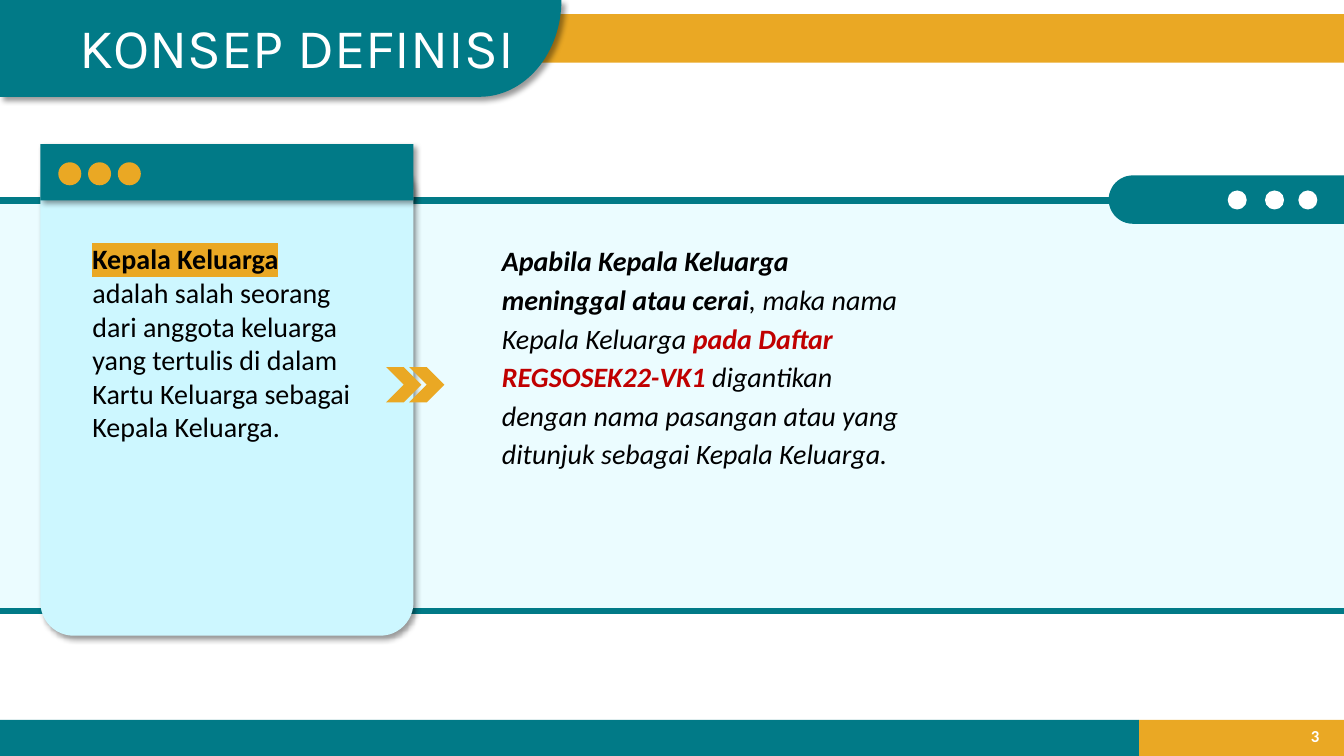
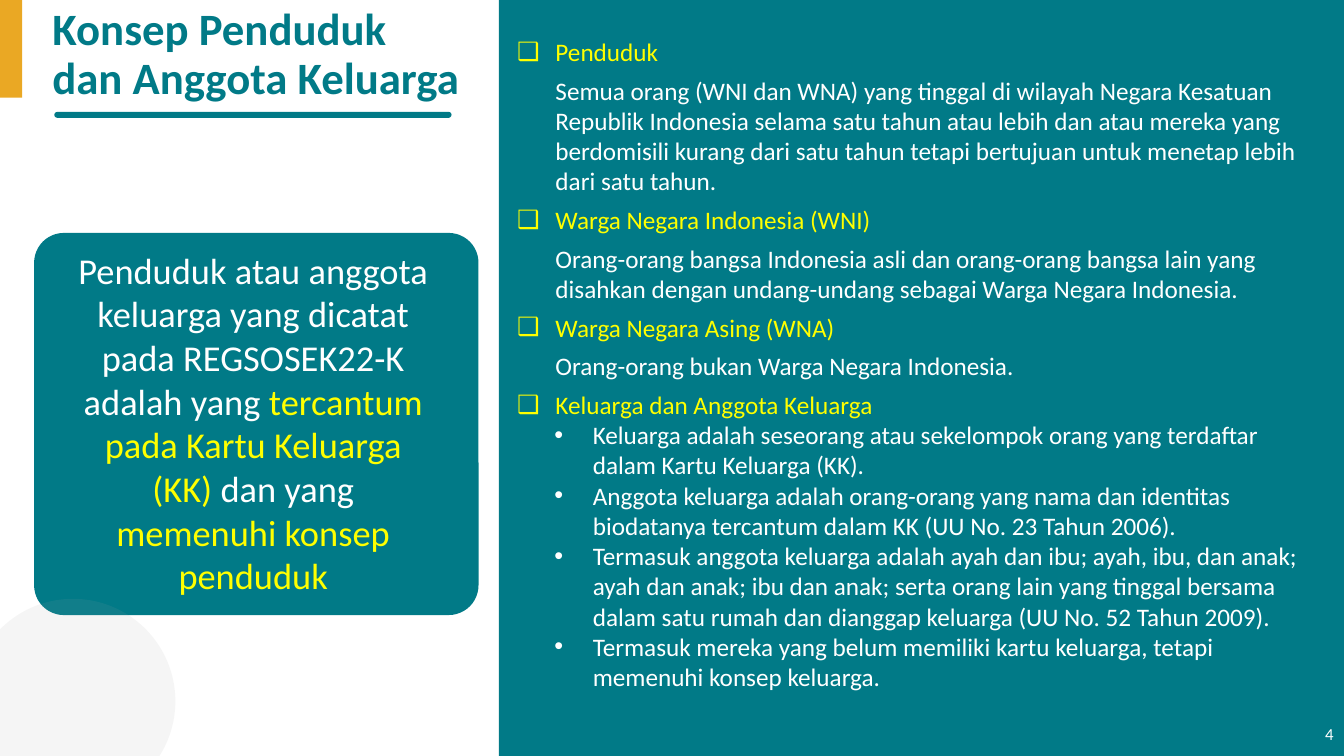
from math import cos, pi, sin

from lxml import etree
from pptx import Presentation
from pptx.dml.color import RGBColor
from pptx.enum.shapes import MSO_CONNECTOR, MSO_SHAPE
from pptx.enum.text import MSO_ANCHOR, PP_ALIGN
from pptx.oxml.ns import qn
from pptx.util import Cm, Pt

WIDTH, HEIGHT = 33.87, 19.05
BODY_FONT = "Calibri"
TITLE_FONT = "Karla"
COLORS = {
    "teal": "017A87",
    "gold": "EAA824",
    "pale": "EBFCFF",
    "card": "CDF7FF",
    "white": "FFFFFF",
    "black": "000000",
    "red": "C00000",
    "yellow": "FFFF00",
    "gray": "A5A5A5",
}

DEFINITIONS = [
    ("Penduduk",
     "Semua orang (WNI dan WNA) yang tinggal di wilayah Negara Kesatuan Republik Indonesia "
     "selama satu tahun atau lebih dan atau mereka yang berdomisili kurang dari satu tahun "
     "tetapi bertujuan untuk menetap lebih dari satu tahun."),
    ("Warga Negara Indonesia (WNI)",
     "Orang-orang bangsa Indonesia asli dan orang-orang bangsa lain yang disahkan dengan "
     "undang-undang sebagai Warga Negara Indonesia."),
    ("Warga Negara Asing (WNA)", "Orang-orang bukan Warga Negara Indonesia."),
]
FAMILY_HEADING = "Keluarga dan Anggota Keluarga"
FAMILY_POINTS = [
    "Keluarga adalah seseorang atau sekelompok orang yang terdaftar dalam Kartu Keluarga (KK).",
    "Anggota keluarga adalah orang-orang yang nama dan identitas biodatanya tercantum dalam KK "
    "(UU No. 23 Tahun 2006).",
    "Termasuk anggota keluarga adalah ayah dan ibu; ayah, ibu, dan anak; ayah dan anak; ibu dan "
    "anak; serta orang lain yang tinggal bersama dalam satu rumah dan dianggap keluarga "
    "(UU No. 52 Tahun 2009).",
    "Termasuk mereka yang belum memiliki kartu keluarga, tetapi memenuhi konsep keluarga.",
]


def rgb(color):
    return RGBColor.from_string(COLORS[color])


def add_color(parent, color, alpha=None):
    node = etree.SubElement(parent, qn("a:srgbClr"), val=COLORS[color])
    if alpha is not None:
        etree.SubElement(node, qn("a:alpha"), val=str(alpha * 1000))


def paint(shape, color, shadow=False):
    """Fill a shape without outline, with an optional soft drop shadow."""
    shape.fill.solid()
    shape.fill.fore_color.rgb = rgb(color)
    shape.line.fill.background()
    shape.shadow.inherit = False
    if shadow:
        effects = shape._element.spPr.find(qn("a:effectLst"))
        outer = etree.SubElement(effects, qn("a:outerShdw"), blurRad=str(Pt(4)), dist=str(Pt(3)),
                                 dir="2700000", algn="tl", rotWithShape="0")
        add_color(outer, "black", 40)


def add_shape(slide, kind, box, color, adjustment=None, shadow=False):
    shape = slide.shapes.add_shape(kind, *map(Cm, box))
    if adjustment is not None:
        shape.adjustments[0] = adjustment
    paint(shape, color, shadow)
    return shape


def add_rule(slide, y, end):
    connector = slide.shapes.add_connector(MSO_CONNECTOR.STRAIGHT, 0, Cm(y), Cm(end), Cm(y))
    connector.line.color.rgb = rgb("teal")
    connector.line.width = Pt(4.5)
    etree.SubElement(connector._element.spPr, qn("a:effectLst"))


def add_row(slide, kind, lefts, top, size, color, adjustment=None):
    for left in lefts:
        add_shape(slide, kind, (left, top, size, size), color, adjustment)


def add_title_tab(slide):
    """Draw the title tab, whose lower right corner is a quarter ellipse."""
    center, radius_x, radius_y, steps = 12.09, 2.06, 2.44, 32
    angles = [pi / 2 * step / steps for step in range(steps + 1)]
    arc = [(Cm(center + radius_x * cos(angle)), Cm(radius_y * sin(angle))) for angle in angles]
    builder = slide.shapes.build_freeform(0, 0)
    builder.add_line_segments(arc + [(0, Cm(radius_y))], close=True)
    paint(builder.convert_to_shape(), "teal", shadow=True)


def add_text_box(slide, box, anchor=MSO_ANCHOR.TOP):
    frame = slide.shapes.add_textbox(*map(Cm, box)).text_frame
    frame.word_wrap = True
    frame.vertical_anchor = anchor
    return frame


def format_run(run, size, color, bold=False, italic=False, font=BODY_FONT, highlight=None):
    run.font.size = Pt(size)
    run.font.bold = bold
    run.font.italic = italic
    run.font.color.rgb = rgb(color)
    run.font.name = font
    if highlight:
        marker = etree.Element(qn("a:highlight"))
        add_color(marker, highlight)
        run.font._element.find(qn("a:solidFill")).addnext(marker)


def add_runs(paragraph, size, runs):
    """Add runs given as (text, color, other formats)."""
    for text, color, formats in runs:
        run = paragraph.add_run()
        run.text = text
        format_run(run, size, color, **formats)


def add_lines(slide, box, text, size, color, align=PP_ALIGN.LEFT, spacing=None,
              anchor=MSO_ANCHOR.TOP, **formats):
    frame = add_text_box(slide, box, anchor)
    frame.text = text
    for paragraph in frame.paragraphs:
        paragraph.alignment = align
        paragraph.line_spacing = spacing
        format_run(paragraph.runs[0], size, color, **formats)


def add_page_number(slide, number, left, top, bold=False):
    add_lines(slide, (left, top, 7.62, 1.02), str(number), 12, "white",
              align=PP_ALIGN.RIGHT, anchor=MSO_ANCHOR.MIDDLE, bold=bold)


def add_outline_item(frame, text, color, margin, bullet=None, space_before=0):
    paragraph = frame.paragraphs[0]
    if paragraph.runs:
        paragraph = frame.add_paragraph()
    paragraph.text = text
    paragraph.space_before = Pt(space_before)
    format_run(paragraph.runs[0], 18, color)
    properties = paragraph._p.get_or_add_pPr()
    properties.set("marL", str(Cm(margin)))
    properties.set("indent", str(Cm(-0.97 if bullet else 0)))
    if bullet:
        add_color(etree.SubElement(properties, qn("a:buClr")), color)
        etree.SubElement(properties, qn("a:buFont"), typeface="Arial")
        etree.SubElement(properties, qn("a:buChar"), char=bullet)


def add_definitions(slide):
    frame = add_text_box(slide, (12.73, 0.79, 20.83, 18.2))
    for index, (term, meaning) in enumerate(DEFINITIONS):
        add_outline_item(frame, term, "yellow", 1.02, "❑", 6 if index else 0)
        add_outline_item(frame, meaning, "white", 1.02, space_before=6)
    add_outline_item(frame, FAMILY_HEADING, "yellow", 1.02, "❑", 6)
    for point in FAMILY_POINTS:
        add_outline_item(frame, point, "white", 1.96, "•")


def build_household_head(slide):
    rectangle, rounded = MSO_SHAPE.RECTANGLE, MSO_SHAPE.ROUNDED_RECTANGLE
    band_top, band_bottom = 5.05, 15.39
    footer_top, footer_split = 18.14, 28.7
    footer_height = HEIGHT - footer_top

    add_shape(slide, rectangle, (0, band_top, WIDTH, band_bottom - band_top), "pale")
    add_rule(slide, band_bottom, WIDTH)
    add_rule(slide, band_top, 28.3)
    add_shape(slide, rectangle,
              (footer_split, footer_top, WIDTH - footer_split, footer_height), "gold")
    add_shape(slide, rectangle, (0, footer_top, footer_split, footer_height), "teal")
    add_page_number(slide, 3, 25.88, 18.03, bold=True)

    add_shape(slide, rectangle, (12.83, 0.36, WIDTH - 12.83, 1.22), "gold")
    add_title_tab(slide)
    add_lines(slide, (1.75, 0.2, 12.98, 1.96), "KONSEP DEFINISI", 40, "white", font=TITLE_FONT)

    add_shape(slide, rounded, (1.02, 4.01, 9.4, 12.01), "card", 0.089, shadow=True)
    add_shape(slide, rectangle, (1.02, 3.63, 9.4, 1.42), "teal", shadow=True)
    add_row(slide, MSO_SHAPE.OVAL, [1.47 + 0.75 * i for i in range(3)], 4.09, 0.58, "gold")
    add_row(slide, MSO_SHAPE.CHEVRON, [9.73, 10.31], 9.25, 0.89, "gold", 0.5)
    add_shape(slide, rounded, (27.94, 4.42, 7.11, 1.22), "teal", 0.5)
    add_row(slide, MSO_SHAPE.OVAL, [30.94, 31.88, 32.72], 4.8, 0.48, "white")

    definition = add_text_box(slide, (2.08, 5.97, 7.06, 5.38)).paragraphs[0]
    add_runs(definition, 20, [
        ("Kepala Keluarga", "black", {"bold": True, "highlight": "gold"}),
        (" adalah salah seorang dari anggota keluarga yang tertulis di dalam Kartu Keluarga "
         "sebagai Kepala Keluarga.", "black", {}),
    ])
    replacement = add_text_box(slide, (12.4, 5.89, 10.85, 6.15)).paragraphs[0]
    replacement.line_spacing = 1.15
    italic, strong = {"italic": True}, {"italic": True, "bold": True}
    add_runs(replacement, 20, [
        ("Apabila Kepala Keluarga meninggal atau cerai", "black", strong),
        (", maka nama Kepala Keluarga ", "black", italic),
        ("pada Daftar REGSOSEK22-VK1 ", "red", strong),
        ("digantikan dengan nama pasangan atau yang ditunjuk sebagai Kepala Keluarga.",
         "black", italic),
    ])


def build_residents(slide):
    rectangle, rounded = MSO_SHAPE.RECTANGLE, MSO_SHAPE.ROUNDED_RECTANGLE
    add_shape(slide, rectangle, (12.57, 0, WIDTH - 12.57, HEIGHT), "teal")
    add_page_number(slide, 4, 26.24, 17.98)
    add_shape(slide, rectangle, (0, 0, 0.56, 2.46), "gold")
    add_shape(slide, rounded, (0.86, 5.87, 11.2, 9.63), "teal", 0.078)
    add_lines(slide, (1.07, 0.05, 11.71, 2.06), "Konsep Penduduk\ndan Anggota Keluarga",
              32, "teal", spacing=0.9, bold=True)
    add_shape(slide, rounded, (1.37, 2.82, 10.01, 0.15), "teal", 0.5)

    circle = add_shape(slide, MSO_SHAPE.OVAL, (-0.74, 15.09, 5.16, 5.16), "gray")
    circle_color = circle._element.spPr.find(qn("a:solidFill"))[0]
    etree.SubElement(circle_color, qn("a:alpha"), val="10000")

    add_definitions(slide)
    summary = add_text_box(slide, (1.57, 6.12, 9.63, 9.14)).paragraphs[0]
    summary.alignment = PP_ALIGN.CENTER
    add_runs(summary, 26, [
        ("Penduduk atau anggota keluarga yang dicatat pada REGSOSEK22-K adalah yang ",
         "white", {}),
        ("tercantum pada Kartu Keluarga (KK) ", "yellow", {}),
        ("dan yang ", "white", {}),
        ("memenuhi konsep penduduk", "yellow", {}),
    ])


def main():
    presentation = Presentation()
    presentation.slide_width = Cm(WIDTH)
    presentation.slide_height = Cm(HEIGHT)
    blank = presentation.slide_layouts[6]
    for build in (build_household_head, build_residents):
        build(presentation.slides.add_slide(blank))
    presentation.save("out.pptx")


if __name__ == "__main__":
    main()
